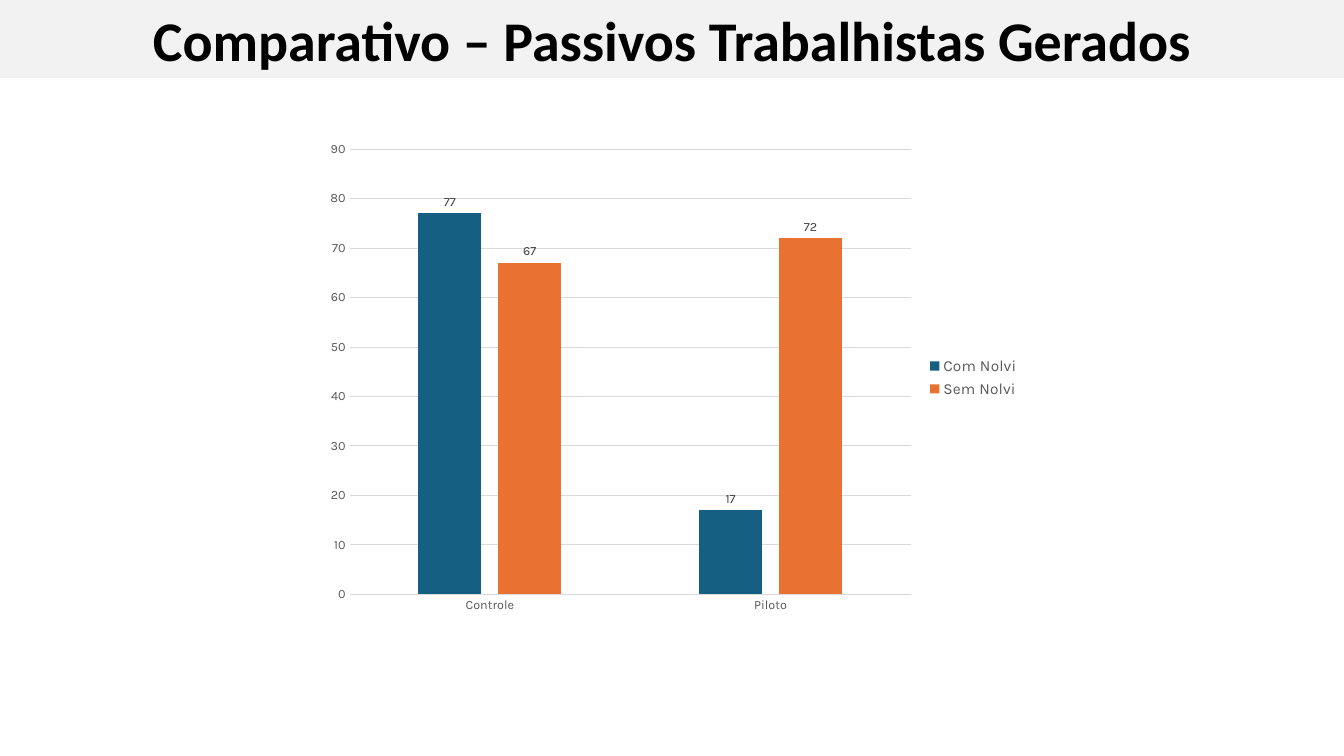
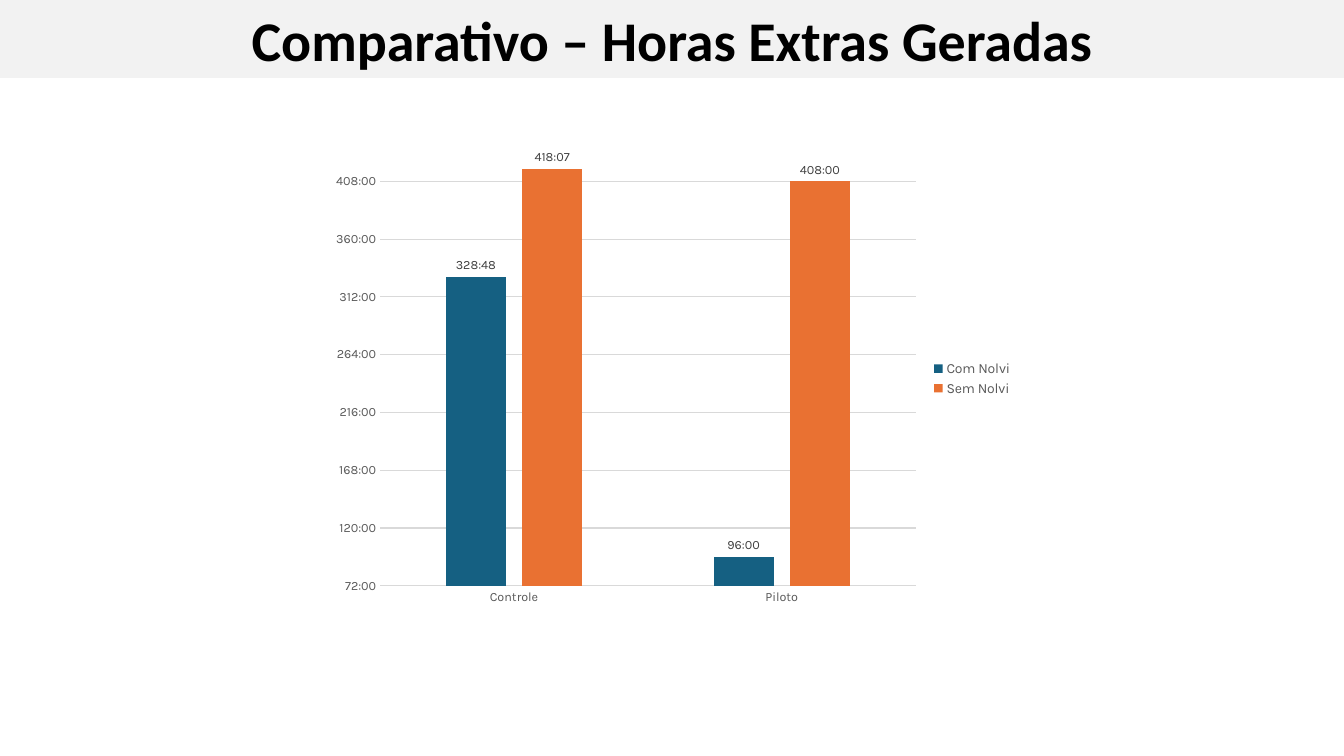
from dataclasses import dataclass

from pptx import Presentation
from pptx.chart.axis import CategoryAxis, ValueAxis
from pptx.chart.data import CategoryChartData
from pptx.dml.color import RGBColor
from pptx.enum.chart import XL_CHART_TYPE, XL_LABEL_POSITION, XL_LEGEND_POSITION, XL_TICK_MARK
from pptx.enum.shapes import MSO_SHAPE
from pptx.enum.text import MSO_ANCHOR, PP_ALIGN
from pptx.slide import Slide
from pptx.text.text import Font
from pptx.util import Emu, Pt

# Shared geometry and style
EMU_PER_PX = 914400 / 100.8
SLIDE_WIDTH, SLIDE_HEIGHT = 1344, 756
BAND_HEIGHT = 78
TITLE_FONT, CHART_FONT = "Calibri", "Karla"
BLACK, BAND_GRAY, GRID_GRAY = "000000", "F2F2F2", "D9D9D9"
AXIS_GRAY, LABEL_GRAY = "595959", "404040"
CATEGORIES = ("Controle", "Piloto")
SERIES_COLORS = {"Com Nolvi": "156082", "Sem Nolvi": "E97132"}


@dataclass(frozen=True)
class Box:
    left: int
    top: int
    width: int
    height: int


@dataclass(frozen=True)
class Scale:
    minimum: float
    maximum: float
    step: float
    number_format: str


@dataclass(frozen=True)
class Comparison:
    title: str
    box: Box
    values: tuple[tuple[float, ...], ...]  # one row per series
    scale: Scale
    label_format: str
    legend_size: int


def px(length: int) -> Emu:
    return Emu(round(length * EMU_PER_PX))


def color(value: str) -> RGBColor:
    return RGBColor.from_string(value)


def days(hours: int, minutes: int = 0) -> float:
    """Duration as a fraction of days, the unit of the [h]:mm format."""
    return round((hours + minutes / 60) / 24, 6)


def set_font(font: Font, name: str, size: int, hex_color: str, bold: bool = False) -> None:
    font.name = name
    font.size = Pt(size)
    font.bold = bold
    font.color.rgb = color(hex_color)


def add_title_band(slide: Slide, title: str) -> None:
    band = slide.shapes.add_shape(
        MSO_SHAPE.RECTANGLE, px(0), px(0), px(SLIDE_WIDTH), px(BAND_HEIGHT))
    band.shadow.inherit = False
    band.fill.solid()
    band.fill.fore_color.rgb = color(BAND_GRAY)
    band.line.fill.background()
    frame = band.text_frame
    frame.word_wrap = True
    frame.vertical_anchor = MSO_ANCHOR.MIDDLE
    paragraph = frame.paragraphs[0]
    paragraph.alignment = PP_ALIGN.CENTER
    run = paragraph.add_run()
    run.text = title
    set_font(run.font, TITLE_FONT, 40, BLACK, bold=True)


def style_axis(axis: CategoryAxis | ValueAxis) -> None:
    axis.major_tick_mark = axis.minor_tick_mark = XL_TICK_MARK.NONE
    set_font(axis.tick_labels.font, CHART_FONT, 9, AXIS_GRAY)


def add_comparison_chart(slide: Slide, comparison: Comparison) -> None:
    scale, box = comparison.scale, comparison.box
    data = CategoryChartData(number_format=scale.number_format)
    data.categories = CATEGORIES
    for name, values in zip(SERIES_COLORS, comparison.values):
        data.add_series(name, values)
    chart = slide.shapes.add_chart(
        XL_CHART_TYPE.COLUMN_CLUSTERED,
        px(box.left), px(box.top), px(box.width), px(box.height), data).chart
    chart.has_title = False
    set_font(chart.font, CHART_FONT, 10, BLACK)

    # Axes and gridlines
    category_axis, value_axis = chart.category_axis, chart.value_axis
    style_axis(category_axis)
    style_axis(value_axis)
    value_axis.minimum_scale = scale.minimum
    value_axis.maximum_scale = scale.maximum
    value_axis.major_unit = scale.step
    value_axis.tick_labels.number_format = scale.number_format
    value_axis.tick_labels.number_format_is_linked = False
    value_axis.format.line.fill.background()
    for line in (category_axis.format.line, value_axis.major_gridlines.format.line):
        line.color.rgb = color(GRID_GRAY)
        line.width = Pt(0.75)

    # Columns and value labels
    plot = chart.plots[0]
    plot.gap_width = 219
    plot.overlap = -27
    plot.vary_by_categories = False
    for series, hex_color in zip(plot.series, SERIES_COLORS.values()):
        series.format.fill.solid()
        series.format.fill.fore_color.rgb = color(hex_color)
        series.invert_if_negative = False
        labels = series.data_labels
        labels.show_value = True
        labels.position = XL_LABEL_POSITION.OUTSIDE_END
        labels.number_format = comparison.label_format
        labels.number_format_is_linked = False
        set_font(labels.font, CHART_FONT, 9, LABEL_GRAY)

    # Legend
    chart.has_legend = True
    chart.legend.position = XL_LEGEND_POSITION.RIGHT
    chart.legend.include_in_layout = False
    set_font(chart.legend.font, CHART_FONT, comparison.legend_size, AXIS_GRAY)


COMPARISONS = (
    Comparison(
        title="Comparativo – Passivos Trabalhistas Gerados",
        box=Box(316, 132, 714, 491),
        values=((77, 17), (67, 72)),
        scale=Scale(0, 90, 10, "0"),
        label_format="0",
        legend_size=11,
    ),
    Comparison(
        title="Comparativo – Horas Extras Geradas",
        box=Box(322, 143, 701, 471),
        values=((days(328, 48), days(96)), (days(418, 7), days(408))),
        scale=Scale(days(72), days(432), days(48), "[h]:mm"),
        label_format="[h]:mm;@",
        legend_size=10,
    ),
)


def main() -> None:
    presentation = Presentation()
    presentation.slide_width = px(SLIDE_WIDTH)
    presentation.slide_height = px(SLIDE_HEIGHT)
    blank_layout = presentation.slide_layouts[6]
    for comparison in COMPARISONS:
        slide = presentation.slides.add_slide(blank_layout)
        add_comparison_chart(slide, comparison)
        add_title_band(slide, comparison.title)
    presentation.save("out.pptx")


if __name__ == "__main__":
    main()
